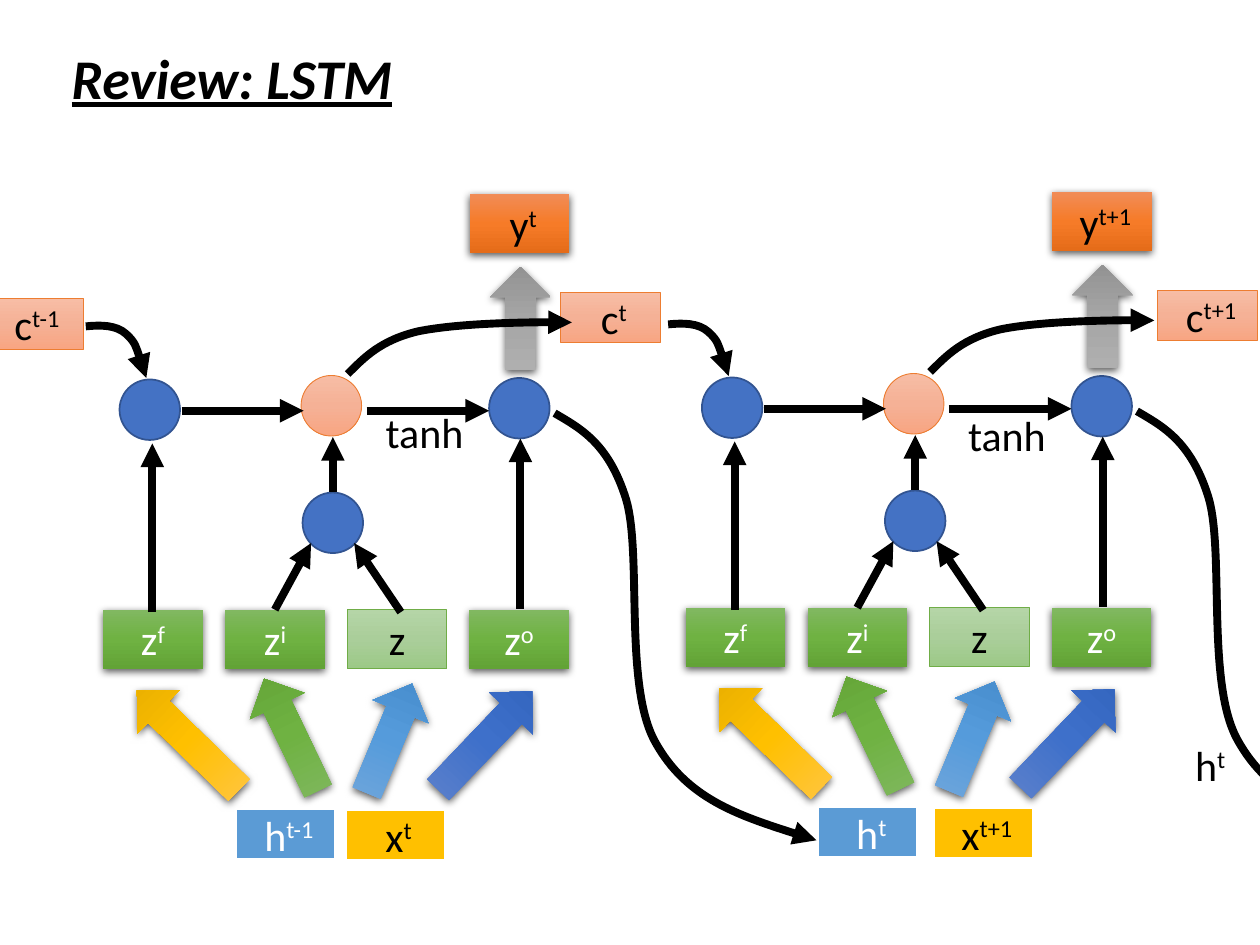
from copy import deepcopy

from lxml.etree import SubElement
from pptx import Presentation
from pptx.dml.color import RGBColor
from pptx.enum.shapes import MSO_CONNECTOR, MSO_SHAPE
from pptx.enum.text import MSO_ANCHOR, MSO_AUTO_SIZE, PP_ALIGN
from pptx.oxml.ns import qn
from pptx.util import Cm, Pt

FONT = "Calibri"
BLACK = RGBColor(0x00, 0x00, 0x00)
WHITE = RGBColor(0xFF, 0xFF, 0xFF)
BLUE = RGBColor(0x44, 0x72, 0xC4)
DARK_BLUE = RGBColor(0x32, 0x54, 0x91)
SKY = RGBColor(0x5B, 0x9B, 0xD5)
GOLD = RGBColor(0xFF, 0xC0, 0x00)
GREEN = RGBColor(0x70, 0xAD, 0x47)
ORANGE = RGBColor(0xED, 0x7D, 0x31)

# Gradients from top to bottom
LIGHT_GREENS = [RGBColor(0xB5, 0xD5, 0xA7), RGBColor(0xAA, 0xCE, 0x9A), RGBColor(0x9C, 0xC9, 0x87)]
GREENS = [RGBColor(0x81, 0xB8, 0x61), RGBColor(0x6F, 0xB2, 0x42), RGBColor(0x62, 0xA3, 0x36)]
PEACHES = [RGBColor(0xF7, 0xBD, 0xA5), RGBColor(0xF5, 0xB1, 0x96), RGBColor(0xF8, 0xA5, 0x82)]
ORANGES = [RGBColor(0xF1, 0x8C, 0x57), RGBColor(0xF6, 0x7B, 0x28), RGBColor(0xE5, 0x6C, 0x19)]
GRAYS = [RGBColor(0xAF, 0xAF, 0xAF), RGBColor(0xA5, 0xA5, 0xA5), RGBColor(0x93, 0x93, 0x93)]
BLUES = [RGBColor(0x61, 0x83, 0xCB), RGBColor(0x3E, 0x70, 0xCA), RGBColor(0x30, 0x62, 0xBB)]
SKIES = [RGBColor(0x71, 0xA6, 0xDB), RGBColor(0x55, 0x9B, 0xDB), RGBColor(0x44, 0x8A, 0xCA)]
GOLDS = [RGBColor(0xFF, 0xC6, 0x4B), RGBColor(0xFF, 0xC0, 0x00), RGBColor(0xE3, 0xAB, 0x00)]

BOX_WIDTH, LABEL_WIDTH, LABEL_HEIGHT = 2.01, 2.51, 1.27
CIRCLE = 1.22

# Gates: name, exponent, gradient, outline, text colour
GATES = [("z", "f", GREENS, None, WHITE), ("z", "i", GREENS, None, WHITE),
         ("z", "", LIGHT_GREENS, GREEN, BLACK), ("z", "o", GREENS, None, WHITE)]
CIRCLES = [(6.1, 9.93, BLUE, DARK_BLUE, 1), (2.41, 7.65, BLUE, DARK_BLUE, 1),
           (6.07, 7.57, PEACHES, ORANGE, 0.5), (9.86, 7.62, BLUE, DARK_BLUE, 1)]
# Block arrows: left, top, height, rotation, gradient
BLOCK_ARROWS = [(9.88, 5.38, 2.08, 0, GRAYS), (9.17, 13.56, 2.74, 43.7, BLUES),
                (5.26, 13.56, 2.51, 334.3, GREENS), (7.24, 13.69, 2.39, 22.6, SKIES),
                (3.18, 13.49, 2.87, 314.2, GOLDS)]
STRAIGHT_ARROWS = [(3.07, 12.34, 3.07, 8.94), (3.66, 8.28, 6.12, 8.28), (8.08, 12.34, 7.14, 10.95),
                   (5.54, 12.29, 6.27, 10.95), (6.71, 9.91, 6.71, 8.81),
                   (7.39, 8.28, 9.86, 8.28), (10.49, 12.27, 10.49, 8.84)]
# Bézier curves: start, then three points for each segment
CURVES = [
    [(7.01, 7.54), (7.34, 7.21), (7.67, 6.86), (8.43, 6.68), (9.17, 6.53), (10.9, 6.48), (11.53, 6.5)],
    [(1.73, 6.58), (2.03, 6.55), (2.34, 6.55), (2.54, 6.73), (2.74, 6.91), (2.84, 7.26), (2.95, 7.62)],
    [(11.18, 8.33), (11.71, 8.64), (12.27, 8.94), (12.62, 10.06), (12.95, 11.15), (12.57, 13.82),
     (13.21, 14.96), (13.84, 16.1), (15.16, 16.54), (16.46, 16.94)],
]
# Cells: x offset, y offset, top of "tanh", boxes
# Boxes: left, top, height, fill, outline, outline width, name, exponent, text colour
CELLS = [
    (0, 0, 8.08, [
        (6.96, 16.33, 1.02, GOLD, WHITE, 1.5, "x", "t", BLACK),
        (9.47, 3.91, 1.19, ORANGES, None, 0, "y", "t", BLACK),
        (4.75, 16.31, 1.02, SKY, WHITE, 1.5, "h", "t-1", WHITE),
        (-0.33, 6.02, 1.02, PEACHES, ORANGE, 0.5, "c", "t-1", BLACK),
        (11.3, 5.89, 1.02, PEACHES, ORANGE, 0.5, "c", "t", BLACK)]),
    (11.74, -0.04, 8.17, [
        (7.08, 16.33, 1.02, GOLD, WHITE, 1.5, "x", "t+1", BLACK),
        (9.47, 3.91, 1.19, ORANGES, None, 0, "y", "t+1", BLACK),
        (4.75, 16.31, 1.02, SKY, WHITE, 1.5, "h", "t", WHITE),
        (11.6, 5.89, 1.02, PEACHES, ORANGE, 0.5, "c", "t+1", BLACK)]),
]

presentation = Presentation()
presentation.slide_width, presentation.slide_height = Cm(25.4), Cm(19.05)
slide = presentation.slides.add_slide(presentation.slide_layouts[5])
shapes = slide.shapes


def add_block(kind, left, top, width, height, fill, outline=None, outline_width=0):
    """Add a shape; a list of colours gives a gradient, no outline gives a shadow."""
    shape = shapes.add_shape(kind, Cm(left), Cm(top), Cm(width), Cm(height))
    shape.shadow.inherit = False
    if isinstance(fill, list):
        shape.fill.gradient()
        stop_list = shape._element.xpath(".//a:gsLst")[0]
        stop_list.insert(1, deepcopy(stop_list[0]))
        for i, stop in enumerate(shape.fill.gradient_stops):
            stop.position = i / 2
            stop.color.rgb = fill[i]
        shape.fill.gradient_angle = 270
    else:
        shape.fill.solid()
        shape.fill.fore_color.rgb = fill
    if outline is not None:
        shape.line.color.rgb = outline
        shape.line.width = Pt(outline_width)
    else:
        shape.line.fill.background()
        effects = shape._element.spPr.find(qn("a:effectLst"))
        shadow = SubElement(effects, qn("a:outerShdw"), blurRad="57150", dist="19050",
                            dir="5400000", algn="ctr", rotWithShape="0")
        color = SubElement(shadow, qn("a:srgbClr"), val="000000")
        SubElement(color, qn("a:alpha"), val="63000")
    return shape


def write_text(shape, name, exponent, color):
    """Write a centred name with an optional superscript."""
    text_frame = shape.text_frame
    text_frame.word_wrap = True
    paragraph = text_frame.paragraphs[0]
    paragraph.text = name
    paragraph.alignment = PP_ALIGN.CENTER
    if exponent:
        run = paragraph.add_run()
        run.text = exponent
        run._r.get_or_add_rPr().set("baseline", "30000")
    for run in paragraph.runs:
        run.font.name, run.font.size, run.font.color.rgb = FONT, Pt(24), color


# Title
title = shapes.title
title.left, title.top, title.width, title.height = Cm(1.19), Cm(0.74), Cm(7.09), Cm(1.63)
title.text_frame.text = "Review: LSTM"
title.text_frame.word_wrap = False
title.text_frame.auto_size = MSO_AUTO_SIZE.SHAPE_TO_FIT_TEXT
title.text_frame.vertical_anchor = MSO_ANCHOR.TOP
title.text_frame.paragraphs[0].alignment = PP_ALIGN.LEFT
font = title.text_frame.paragraphs[0].runs[0].font
font.name, font.size, font.color.rgb = FONT, Pt(32), BLACK
font.bold = font.italic = font.underline = True

for dx, dy, tanh_top, boxes in CELLS:
    # Gates and circles
    for i, (name, exponent, fill, outline, color) in enumerate(GATES):
        gate = add_block(MSO_SHAPE.RECTANGLE, 2.08 + 2.46 * i + dx, 12.29 + dy,
                         BOX_WIDTH, 1.19, fill, outline, 0.5)
        gate.text_frame.vertical_anchor = MSO_ANCHOR.MIDDLE
        write_text(gate, name, exponent, color)
    for left, top, fill, outline, outline_width in CIRCLES:
        add_block(MSO_SHAPE.OVAL, left + dx, top + dy, CIRCLE, CIRCLE, fill, outline, outline_width)

    # Block arrows
    for left, top, height, rotation, fill in BLOCK_ARROWS:
        arrow = add_block(MSO_SHAPE.DOWN_ARROW, left + dx, top + dy, CIRCLE, height, fill)
        arrow.rotation = rotation
        arrow._element.spPr.get_or_add_xfrm().set("flipV", "1")

    # Inputs, states and outputs with their labels
    for left, top, height, fill, outline, outline_width, name, exponent, color in boxes:
        add_block(MSO_SHAPE.RECTANGLE, left + dx, top + dy, BOX_WIDTH, height,
                  fill, outline, outline_width)
        label = shapes.add_textbox(Cm(left + dx - 0.18), Cm(top + dy + (height - LABEL_HEIGHT) / 2),
                                   Cm(LABEL_WIDTH), Cm(LABEL_HEIGHT))
        write_text(label, name, exponent, color)

    # Straight and curved arrows
    arrows = []
    for x1, y1, x2, y2 in STRAIGHT_ARROWS:
        connector = shapes.add_connector(MSO_CONNECTOR.STRAIGHT, Cm(x1 + dx), Cm(y1 + dy),
                                         Cm(x2 + dx), Cm(y2 + dy))
        SubElement(connector._element.spPr, qn("a:effectLst"))
        arrows.append(connector)
    for curve in CURVES:
        points = [(Cm(x + dx), Cm(y + dy)) for x, y in curve]
        builder = shapes.build_freeform(*points[0])
        builder.add_line_segments(points[1:], close=False)
        shape = builder.convert_to_shape()
        shape.shadow.inherit = False
        shape.fill.background()
        segments = shape._element.xpath(".//a:lnTo")
        outline = segments[0].getparent()
        for i in range(0, len(segments), 3):
            bezier = SubElement(outline, qn("a:cubicBezTo"))
            for segment in segments[i:i + 3]:
                bezier.append(segment[0])
                outline.remove(segment)
        arrows.append(shape)
    for arrow in arrows:
        arrow.line.color.rgb = BLACK
        arrow.line.width = Pt(4.5)
        SubElement(arrow.line._get_or_add_ln(), qn("a:tailEnd"), type="triangle")

    tanh = shapes.add_textbox(Cm(6.58 + dx), Cm(tanh_top + dy), Cm(3.96), Cm(LABEL_HEIGHT))
    write_text(tanh, "tanh", "", BLACK)

# Label of the state passed on
state = shapes.add_textbox(Cm(23.14), Cm(14.78), Cm(LABEL_WIDTH), Cm(LABEL_HEIGHT))
write_text(state, "h", "t", BLACK)

presentation.save("out.pptx")
